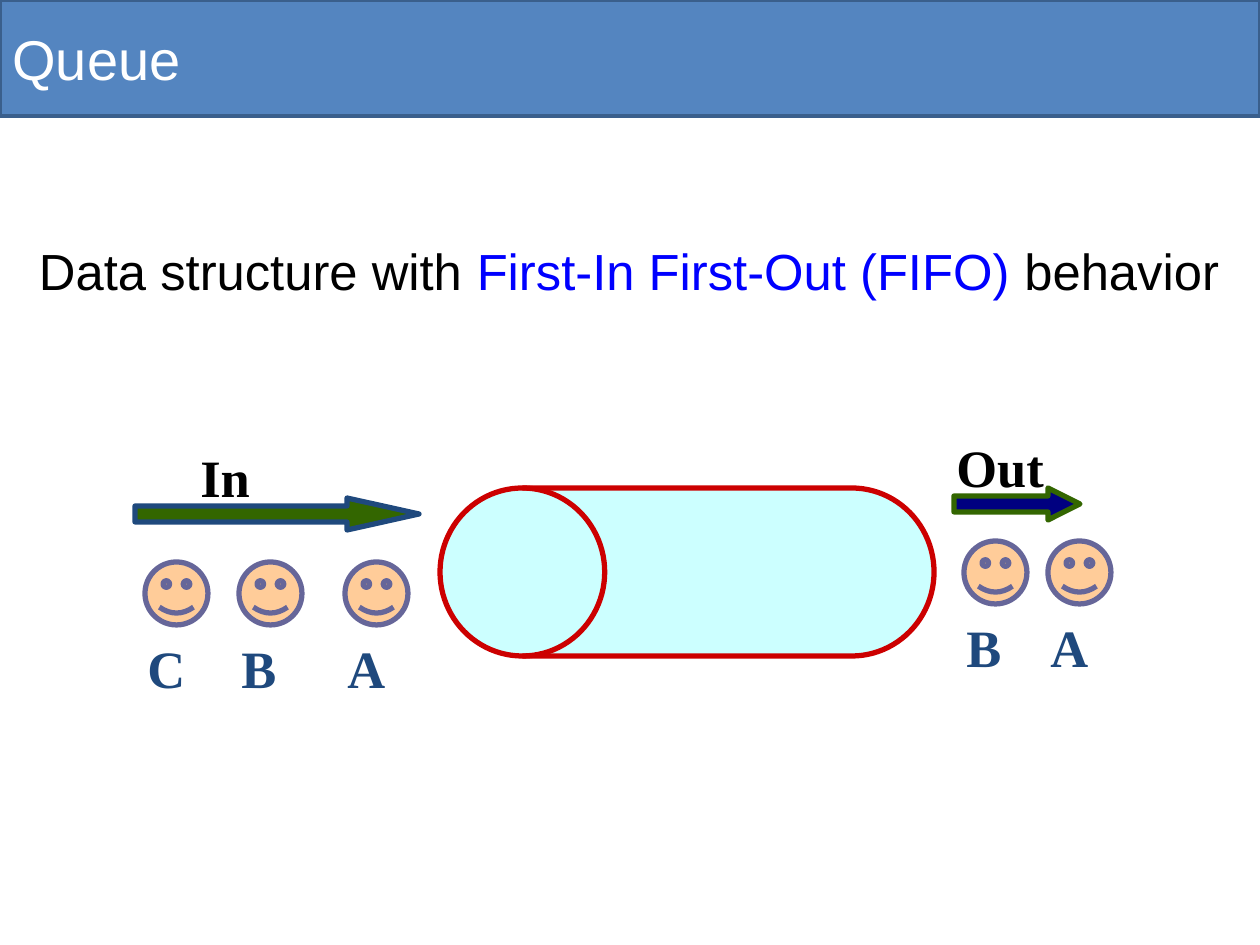
import pptx
import pptx.util
import pptx.dml.color
import pptx.enum.shapes
import pptx.enum.text
from dataclasses import dataclass

SHAPES = pptx.enum.shapes.MSO_SHAPE
ANCHOR = pptx.enum.text.MSO_ANCHOR
AUTO_SIZE = pptx.enum.text.MSO_AUTO_SIZE
PX_PER_INCH = 126


@dataclass(frozen=True)
class Theme:
    white: str = "FFFFFF"
    black: str = "000000"
    banner: str = "5485C0"
    banner_edge: str = "3A5F8C"
    accent: str = "0000FF"
    drum: str = "CCFFFF"
    drum_edge: str = "CC0000"
    skin: str = "FFCC99"
    face_edge: str = "666699"
    green: str = "336600"
    navy: str = "000080"
    ink: str = "1F497D"
    sans: str = "Arial"
    serif: str = "Times New Roman"
    title_size: int = 32
    body_size: int = 29
    label_size: int = 30
    thin: int = 2
    thick: int = 3


THEME = Theme()


def px(length):
    return pptx.util.Emu(round(length * 914400 / PX_PER_INCH))


def rgb(color):
    return pptx.dml.color.RGBColor.from_string(color)


def set_all(target, values):
    for name, value in values.items():
        setattr(target, name, value)


def add_shape(page, kind, box, fill, edge, width=THEME.thick, adjust=()):
    shape = page.shapes.add_shape(kind, *map(px, box))
    shape.shadow.inherit = False
    shape.fill.solid()
    shape.fill.fore_color.rgb = rgb(fill)
    shape.line.color.rgb = rgb(edge)
    shape.line.width = pptx.util.Pt(width)
    for index, value in enumerate(adjust):
        shape.adjustments[index] = value
    return shape


def add_text(page, box, spans, font, frame_format):
    """Place one paragraph made of (text, colour) spans."""
    frame = page.shapes.add_textbox(*map(px, box)).text_frame
    set_all(frame, frame_format)
    para = frame.paragraphs[0]
    for text, color in spans:
        span = para.add_run()
        span.text = text
        set_all(span.font, font)
        span.font.color.rgb = rgb(color)


def add_label(page, box, text, color):
    font = {"name": THEME.serif, "size": pptx.util.Pt(THEME.label_size), "bold": True}
    add_text(page, box, [(text, color)], font, {"word_wrap": True, "margin_top": px(12)})


def add_banner(page, box, title):
    left, top, width, height = box
    add_shape(page, SHAPES.RECTANGLE, box, THEME.banner, THEME.banner_edge, THEME.thin)
    font = {"name": THEME.sans, "size": pptx.util.Pt(THEME.title_size)}
    add_text(page, (left, top, width - 29, height), [(title, THEME.white)], font,
             {"word_wrap": True, "vertical_anchor": ANCHOR.MIDDLE})


def add_definition(page, box):
    spans = [
        ("Data structure with ", THEME.black),
        ("First-In First-Out (FIFO)", THEME.accent),
        (" behavior", THEME.black),
    ]
    font = {"name": THEME.sans, "size": pptx.util.Pt(THEME.body_size)}
    add_text(page, box, spans, font, {
        "word_wrap": False, "auto_size": AUTO_SIZE.SHAPE_TO_FIT_TEXT,
        "margin_left": 0, "margin_right": 0, "margin_top": px(6), "margin_bottom": 0,
    })


def add_drum(page, box):
    drum = add_shape(page, SHAPES.FLOWCHART_DIRECT_ACCESS_STORAGE, box,
                     THEME.drum, THEME.drum_edge)
    drum.rotation = 180


def add_flow(page, box, heading, heading_offset, colors, head_ratio):
    """Draw an arrow in the box, with its heading above."""
    left, top, _, _ = box
    add_shape(page, SHAPES.RIGHT_ARROW, box, *colors, adjust=(0.5, head_ratio))
    add_label(page, (left + heading_offset, top - 65, 116, 77), heading, THEME.black)


def add_people(page, box, people):
    """Draw a row of faces named below; people maps a name to its offset in the box."""
    left, top, _, size = box
    for name, offset in people.items():
        face = (left + offset, top, size, size)
        add_shape(page, SHAPES.SMILEY_FACE, face, THEME.skin, THEME.face_edge, adjust=(0.047,))
        add_label(page, (left + offset - 10, top + size - 1, 84, 77), name, THEME.ink)


def main():
    deck = pptx.Presentation()
    set_all(deck, {"slide_width": px(1260), "slide_height": px(945)})
    page = deck.slides.add_slide(deck.slide_layouts[6])
    add_banner(page, (0, 0, 1260, 116), "Queue")
    add_definition(page, (39, 234, 1192, 62))
    add_drum(page, (440, 488, 494, 168))
    add_flow(page, (135, 498, 284, 32), "In", 53, (THEME.green, THEME.ink), 2.25)
    add_people(page, (145, 562, 263, 63), {"C": 0, "B": 94, "A": 200})
    add_flow(page, (954, 488, 126, 32), "Out", -10, (THEME.navy, THEME.green), 1)
    add_people(page, (964, 541, 147, 63), {"B": 0, "A": 84})
    deck.save("out.pptx")


if __name__ == "__main__":
    main()
